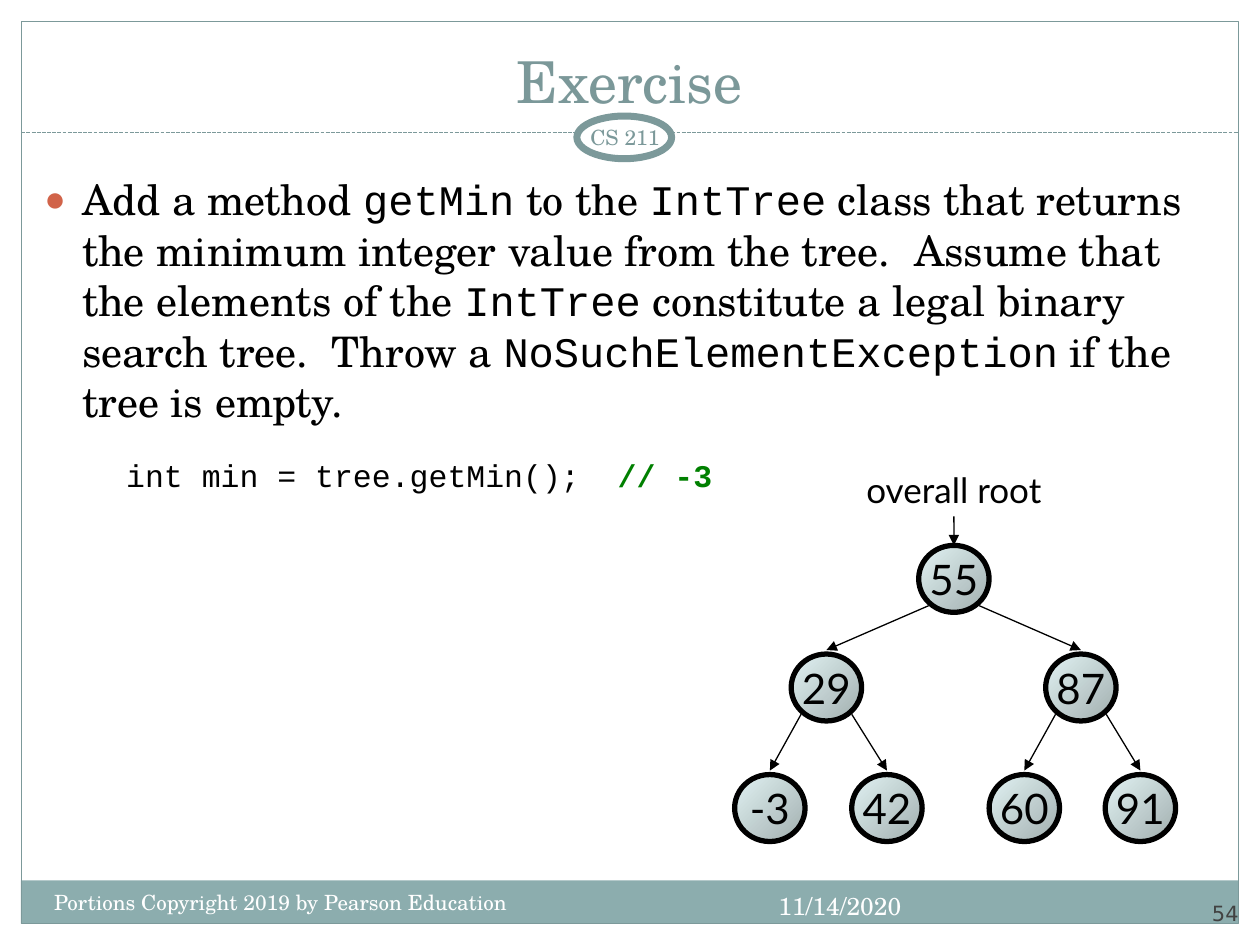
from lxml.etree import SubElement
from pptx import Presentation
from pptx.dml.color import RGBColor
from pptx.enum.dml import MSO_LINE
from pptx.enum.shapes import MSO_CONNECTOR, MSO_SHAPE
from pptx.enum.text import MSO_ANCHOR, MSO_AUTO_SIZE, PP_ALIGN
from pptx.oxml.ns import qn
from pptx.util import Cm, Pt

# Content
TITLE = "Exercise"
TASK = [
    ("Add a method ", "text"), ("getMin", "code"), (" to the ", "text"),
    ("IntTree", "code"),
    (" class that returns the minimum integer value from the tree.  "
     "Assume that the elements of the ", "text"),
    ("IntTree", "code"),
    (" constitute a legal binary search tree.  Throw a ", "text"),
    ("NoSuchElementException", "code"), (" if the tree is empty.", "text"),
]
CALL = [("int min = tree.getMin();  ", "call"), ("// -3", "note")]
ROOT = 55
TREE = {55: (29, 87), 29: (-3, 42), 87: (60, 91)}
SPOTS = {  # node centres, cm
    55: (19.23, 11.67), 29: (16.66, 13.86), 87: (21.79, 13.86),
    -3: (15.52, 16.29), 42: (17.88, 16.29), 60: (20.65, 16.29),
    91: (22.99, 16.29),
}

# Styles
HEX = {"ink": "000000", "teal": "7C999A", "title": "7B9899", "bar": "8CADAE",
       "white": "FFFFFF", "dot": "D16349", "green": "008000", "grey": "424242",
       "light": "E1F2F3", "dark": "A2AFAF"}
SERIF, MONO, SANS = "TeX Gyre Schola", "Courier New", "Lato"
FORMATS = {  # font attributes and colour
    "title": ({"name": SERIF, "size": Pt(33)}, "title"),
    "text": ({"name": SERIF, "size": Pt(24)}, "ink"),
    "code": ({"name": MONO, "size": Pt(24)}, "ink"),
    "call": ({"name": MONO, "size": Pt(18)}, "ink"),
    "note": ({"name": MONO, "size": Pt(18), "bold": True}, "green"),
    "node": ({"name": SANS, "size": Pt(24)}, "ink"),
    "label": ({"name": SANS, "size": Pt(20)}, "ink"),
    "date": ({"name": SERIF, "size": Pt(14)}, "white"),
    "foot": ({"name": SERIF, "size": Pt(12)}, "white"),
    "badge": ({"name": SERIF, "size": Pt(12)}, "teal"),
    "page": ({"name": "DejaVu Sans", "size": Pt(12)}, "grey"),
}
LEFT, MID, RIGHT = PP_ALIGN.LEFT, PP_ALIGN.CENTER, PP_ALIGN.RIGHT
WIDE, HIGH = 1.42, 1.35  # node size, cm


def rgb(key):
    return RGBColor.from_string(HEX[key])


def apply(thing, values):
    for key, value in values.items():
        setattr(thing, key, value)


def write(para, runs, align=LEFT):
    para.alignment = align
    for text, style in runs:
        run = para.add_run()
        run.text = text
        font, tint = FORMATS[style]
        apply(run.font, font)
        run.font.color.rgb = rgb(tint)


def place(shape, *box):
    apply(shape, dict(zip(("left", "top", "width", "height"), map(Cm, box))))


def shape(kind, box, fill=None, line=None, width=0.75):
    item = slide.shapes.add_shape(kind, *map(Cm, box))
    item.shadow.inherit = False
    if fill:
        item.fill.solid()
        item.fill.fore_color.rgb = rgb(fill)
    else:
        item.fill.background()
    if line:
        item.line.color.rgb = rgb(line)
        item.line.width = Pt(width)
    else:
        item.line.fill.background()
    return item


def label(text, style, box, align, wrap=True, anchor=MSO_ANCHOR.TOP, inset=None):
    item = slide.shapes.add_textbox(*map(Cm, box))
    frame = item.text_frame
    apply(frame, {"word_wrap": wrap, "vertical_anchor": anchor})
    if inset is not None:
        for side in ("left", "right", "top", "bottom"):
            setattr(frame, "margin_" + side, Cm(inset))
    write(frame.paragraphs[0], [(text, style)], align)
    return item


def link(start, end, tint="ink", dash=None, arrow=True):
    item = slide.shapes.add_connector(
        MSO_CONNECTOR.STRAIGHT, *map(Cm, start + end))
    item.line.color.rgb = rgb(tint)
    item.line.width = Pt(0.75)
    if dash:
        item.line.dash_style = dash
    if arrow:
        SubElement(item.line._get_or_add_ln(), qn("a:tailEnd"), type="triangle")
    SubElement(item._element.spPr, qn("a:effectLst"))
    return item


def node(value):
    x, y = SPOTS[value]
    item = shape(MSO_SHAPE.OVAL, (x - WIDE / 2, y - HIGH / 2, WIDE, HIGH),
                 "light", "ink", 3)
    item.fill.gradient()
    item.fill.gradient_angle = 315
    for stop, tint in zip(item.fill.gradient_stops, ("light", "dark")):
        stop.color.rgb = rgb(tint)
    frame = item.text_frame
    apply(frame, {"word_wrap": False, "vertical_anchor": MSO_ANCHOR.MIDDLE})
    write(frame.paragraphs[0], [(str(value), "node")], MID)
    return item


deck = Presentation()
apply(deck, {"slide_width": Cm(25.4), "slide_height": Cm(19.05)})
slide = deck.slides.add_slide(deck.slide_layouts[1])

# Frame, footer bar and badge
shape(MSO_SHAPE.RECTANGLE, (0.42, 17.75, 24.54, 0.87), "bar")
shape(MSO_SHAPE.RECTANGLE, (0.43, 0.43, 24.54, 18.19), None, "teal")
link((0.43, 2.67), (24.97, 2.67), "teal", MSO_LINE.SQUARE_DOT, False)
shape(MSO_SHAPE.OVAL, (11.63, 2.34, 1.91, 0.86), "white", "teal", 4)

# Title
title = slide.shapes.title
place(title, 0.84, 0.64, 23.7, 1.8)
apply(title.text_frame, {"vertical_anchor": MSO_ANCHOR.BOTTOM,
                         "auto_size": MSO_AUTO_SIZE.NONE})
write(title.text_frame.paragraphs[0], [(TITLE, "title")], MID)

# Task and sample call
body = slide.placeholders[1]
place(body, 0.64, 3.38, 24.13, 14.17)
frame = body.text_frame
frame.auto_size = MSO_AUTO_SIZE.NONE
task, call = frame.paragraphs[0], frame.add_paragraph()
call.level = 2
for para, left, hang in ((task, 0.76, -0.76), (call, 1.65, 0)):
    props = para._p.get_or_add_pPr()
    props.set("marL", str(Cm(left)))
    props.set("indent", str(Cm(hang)))
props = task._p.get_or_add_pPr()
SubElement(SubElement(props, qn("a:buClr")), qn("a:srgbClr"), val=HEX["dot"])
SubElement(props, qn("a:buSzPct"), val="85000")
SubElement(props, qn("a:buChar"), char="●")
SubElement(call._p.get_or_add_pPr(), qn("a:buNone"))
task.space_before, call.space_before = Pt(0), Pt(17)
write(task, TASK)
write(call, CALL)

# Search tree
nodes = {value: node(value) for value in SPOTS}
for parent, kids in TREE.items():
    x, y = SPOTS[parent]
    for kid, side in zip(kids, (-1, 1)):
        kx, ky = SPOTS[kid]
        link((x + side * 0.51, y + 0.54), (kx, ky - HIGH / 2 - 0.08))
x, y = SPOTS[ROOT]
head = label("overall root", "label", (x - 2.03, 9.32, 4.06, 1.09), MID, False)
stem = link((x, 10.41), (x, y - HIGH / 2))
stem.begin_connect(head, 2)
stem.end_connect(nodes[ROOT], 0)

# Footer, badge text and page number
label("11/14/2020", "date", (14.2, 17.83, 4.22, 1.02), RIGHT)
label("Portions Copyright 2019 by Pearson Education", "foot",
      (0.84, 17.81, 10.36, 1.02), LEFT)
label("CS 211", "badge", (11.43, 2.34, 2.34, 0.84), MID,
      anchor=MSO_ANCHOR.MIDDLE, inset=0.13)
label("54", "page", (22.86, 17.65, 2.11, 1.02), RIGHT,
      anchor=MSO_ANCHOR.BOTTOM, inset=0)

deck.save("out.pptx")
